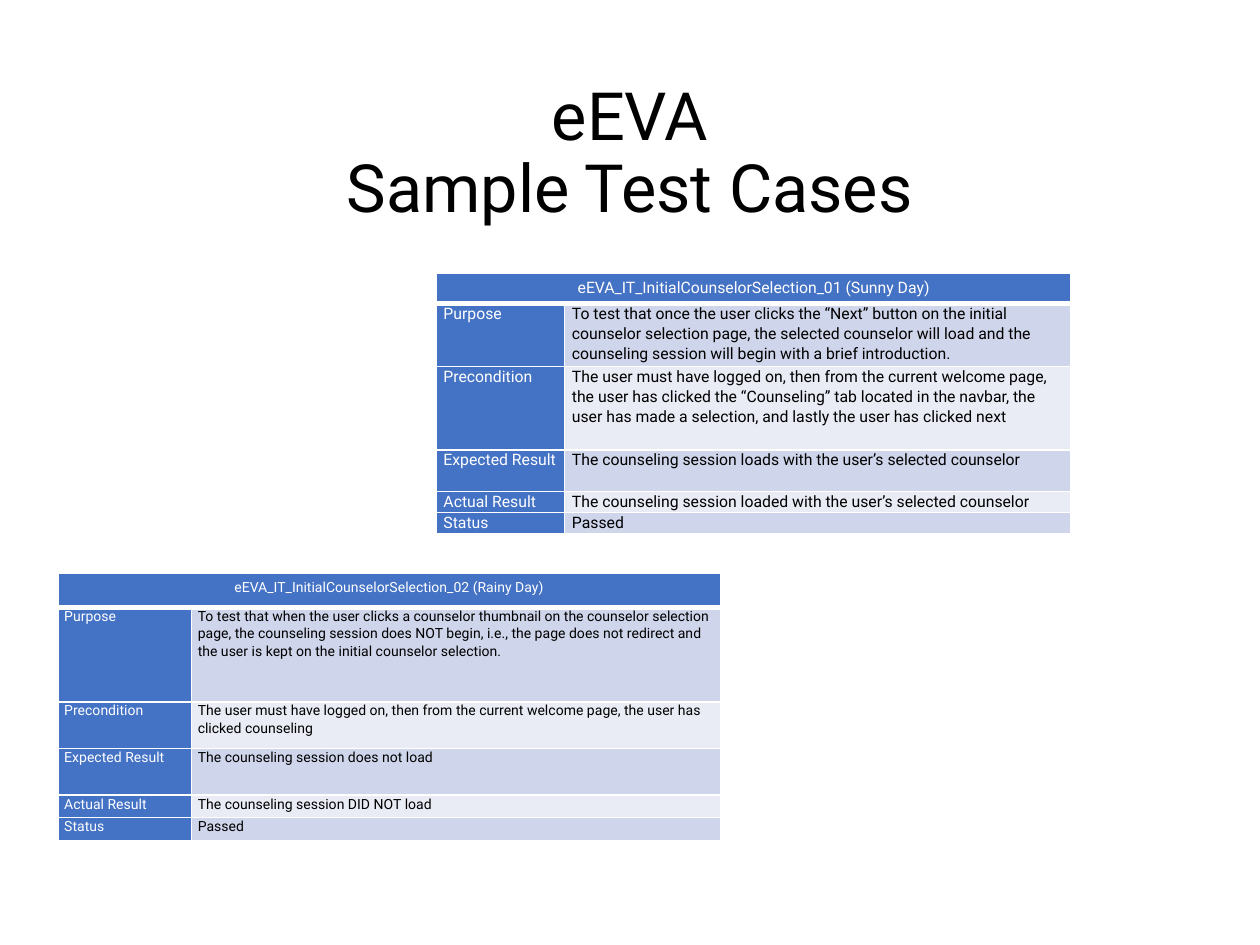
from dataclasses import dataclass

from lxml import etree
from pptx import Presentation
from pptx import util as u
from pptx.dml.color import RGBColor
from pptx.enum import text
from pptx.oxml.ns import qn


@dataclass(frozen=True)
class Theme:
    font: str = "Roboto"
    ink: str = "000000"
    paper: str = "FFFFFF"
    accent: str = "4472C4"
    bands: tuple = ("CFD5EA", "E9EBF5")
    title_size: int = 38
    thin: int = 1
    thick: int = 3


LABELS = ("Purpose", "Precondition", "Expected Result", "Actual Result", "Status")

SUNNY_DAY = (
    "To test that once the user clicks the “Next” button on the initial counselor "
    "selection page, the selected counselor will load and the counseling session "
    "will begin with a brief introduction.",
    "The user must have logged on, then from the current welcome page, the user has "
    "clicked the “Counseling” tab located in the navbar, the user has made a "
    "selection, and lastly the user has clicked next",
    "The counseling session loads with the user’s selected counselor",
    "The counseling session loaded with the user’s selected counselor",
    "Passed",
)

RAINY_DAY = (
    "To test that when the user clicks a counselor thumbnail on the counselor "
    "selection page, the counseling session does NOT begin, i.e., the page does not "
    "redirect and the user is kept on the initial counselor selection.",
    "The user must have logged on, then from the current welcome page, the user has "
    "clicked counseling",
    "The counseling session does not load",
    "The counseling session DID NOT load",
    "Passed",
)


class TestCaseSlide:
    """Draws the title and the test case tables in one style."""

    def __init__(self, prs, theme):
        self.theme = theme
        self.s = prs.slides.add_slide(prs.slide_layouts[5])

    def style(self, tf, size, color, spacing, align):
        for p in tf.paragraphs:
            p.alignment = align
            p.line_spacing = spacing
            for r in p.runs:
                r.font.name = self.theme.font
                r.font.size = u.Pt(size)
                r.font.bold = False
                r.font.color.rgb = RGBColor.from_string(color)

    def title(self, words, left, top, width, height):
        sp = self.s.shapes.title
        sp.left, sp.top = u.Inches(left), u.Inches(top)
        sp.width, sp.height = u.Inches(width), u.Inches(height)
        tf = sp.text_frame
        tf.text = words
        tf.word_wrap = True
        tf.auto_size = text.MSO_AUTO_SIZE.NONE
        tf.vertical_anchor = text.MSO_ANCHOR.BOTTOM
        self.style(tf, self.theme.title_size, self.theme.ink, 0.9, text.PP_ALIGN.CENTER)

    def borders(self, cell, top, bottom):
        tc_pr = cell._tc.get_or_add_tcPr()
        thin = self.theme.thin
        for side, width in (("L", thin), ("R", thin), ("T", top), ("B", bottom)):
            ln = etree.SubElement(tc_pr, qn(f"a:ln{side}"), w=str(u.Pt(width)))
            fill = etree.SubElement(ln, qn("a:solidFill"))
            etree.SubElement(fill, qn("a:srgbClr"), val=self.theme.paper)

    def cell(self, cell, words, size, fill, color, pad, top, bottom,
             align=text.PP_ALIGN.LEFT):
        self.borders(cell, top, bottom)
        cell.fill.solid()
        cell.fill.fore_color.rgb = RGBColor.from_string(fill)
        cell.margin_left = cell.margin_right = u.Inches(pad[0])
        cell.margin_top = cell.margin_bottom = u.Inches(pad[1])
        cell.text_frame.text = words
        self.style(cell.text_frame, size, color, 1.07, align)

    def test_case(self, heading, values, left, top, cols, rows, size, head_pad, pad):
        t = self.theme
        table = self.s.shapes.add_table(
            len(rows), len(cols), u.Inches(left), u.Inches(top),
            u.Inches(sum(cols)), u.Inches(sum(rows))).table
        for column, width in zip(table.columns, cols):
            column.width = u.Inches(width)
        for row, height in zip(table.rows, rows):
            row.height = u.Inches(height)

        table.cell(0, 0).merge(table.cell(0, 1))
        self.cell(table.cell(0, 0), heading, size, t.accent, t.paper, head_pad,
                  t.thin, t.thick, text.PP_ALIGN.CENTER)
        self.borders(table.cell(0, 1), t.thin, t.thick)
        for i, (label, value) in enumerate(zip(LABELS, values)):
            upper = t.thin if i else t.thick
            self.cell(table.cell(i + 1, 0), label, size, t.accent, t.paper,
                      (pad, 0), upper, t.thin)
            self.cell(table.cell(i + 1, 1), value, size, t.bands[i % 2], t.ink,
                      (pad, 0), upper, t.thin)


def main():
    prs = Presentation()
    prs.slide_width, prs.slide_height = u.Inches(10), u.Inches(7.5)
    slide = TestCaseSlide(prs, Theme())
    slide.title("eEVA\vSample Test Cases", 0.69, 0.4, 8.62, 1.45)
    slide.test_case(
        "eEVA_IT_InitialCounselorSelection_01 (Sunny Day)", SUNNY_DAY, 3.46, 2.17,
        cols=(1.02, 4.02), rows=(0.24, 0.5, 0.66, 0.33, 0.17, 0.17),
        size=9, head_pad=(0.05, 0.03), pad=0.06)
    slide.test_case(
        "eEVA_IT_InitialCounselorSelection_02 (Rainy Day)", RAINY_DAY, 0.46, 4.55,
        cols=(1.06, 4.2), rows=(0.27, 0.75, 0.37, 0.37, 0.18, 0.18),
        size=8, head_pad=(0.09, 0.04), pad=0.05)
    prs.save("out.pptx")


if __name__ == "__main__":
    main()
